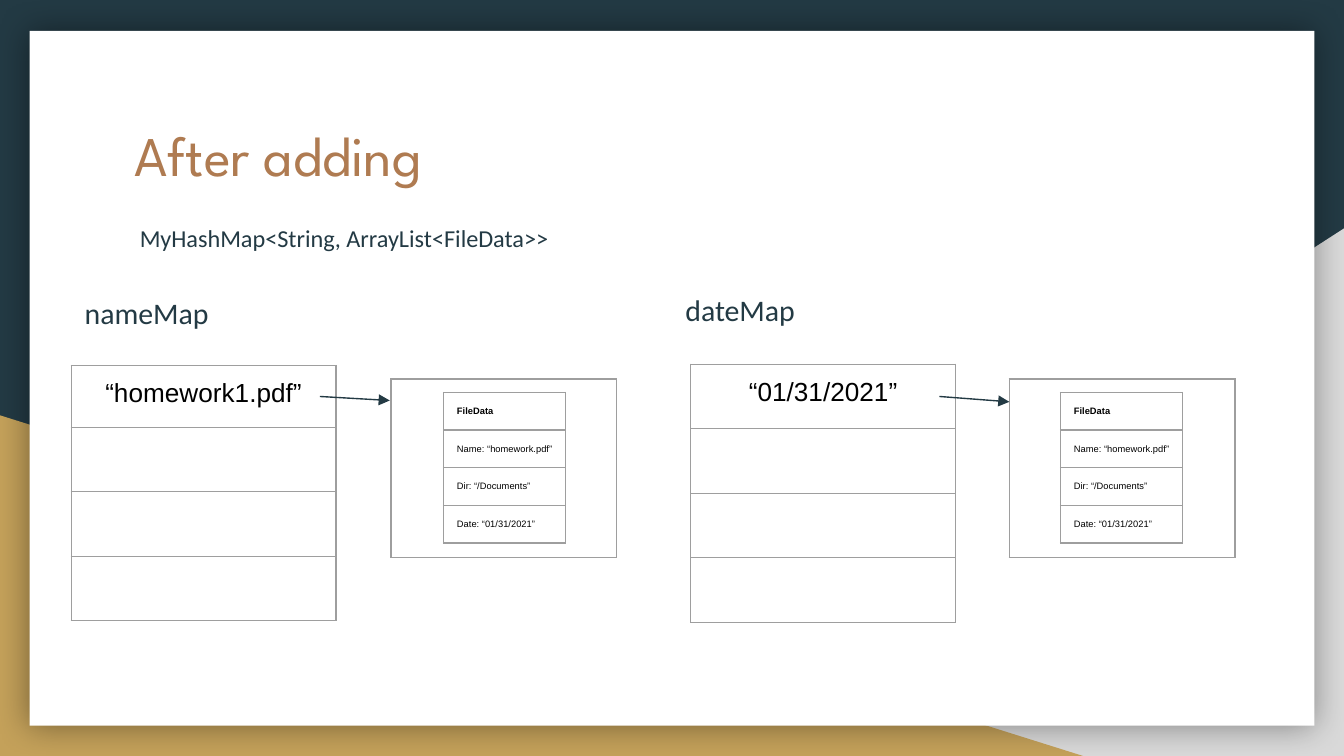
"""Build the slide that shows both hash maps after a file is added."""
from dataclasses import dataclass

from lxml.etree import SubElement
from pptx import Presentation
from pptx.dml.color import RGBColor
from pptx.enum.shapes import MSO_CONNECTOR, MSO_SHAPE
from pptx.enum.text import MSO_ANCHOR, MSO_AUTO_SIZE, PP_ALIGN
from pptx.oxml import parse_xml
from pptx.oxml.ns import qn
from pptx.util import Inches, Pt


@dataclass(frozen=True)
class Theme:
    """Colours, fonts and type sizes."""
    navy: str = "233A44"
    gold: str = "C4A15A"
    grey: str = "D9D9D9"
    white: str = "FFFFFF"
    brown: str = "AF7B51"
    black: str = "000000"
    rule: str = "9E9E9E"
    head: str = "League Spartan"
    body: str = "Calibri"
    cell: str = "Arial"
    title: int = 30
    label: int = 16
    note: int = 13
    key: int = 14
    tiny: int = 5
    thin: float = 0.75


T = Theme()
WIDE = 10
HIGH = WIDE * 9 / 16
TITLE = "After adding"
NOTE = "MyHashMap<String, ArrayList<FileData>>"
FIELDS = ["FileData", "Name: “homework.pdf”", "Dir: “/Documents”", "Date: “01/31/2021”"]
MAPS = [
    dict(name="nameMap", key="“homework1.pdf”", label=(0.53, 2.05), slots=(0.53, 2.72),
         first=0.46, box=2.91, data=3.3, start=(2.38, 2.95), end=(2.9, 2.98)),
    dict(name="dateMap", key="“01/31/2021”", label=(5, 2.03), slots=(5.14, 2.71),
         first=0.48, box=7.51, data=7.89, start=(6.99, 2.95), end=(7.51, 2.99)),
]
BACK = [
    (MSO_SHAPE.RIGHT_TRIANGLE, (3.92, 1.7, 6.08, HIGH - 1.7), T.grey),
    (MSO_SHAPE.RIGHT_TRIANGLE, (0, 3.09, 8.06, HIGH - 3.09), T.gold),
    (MSO_SHAPE.RECTANGLE, (0.22, 0.23, 9.56, 5.17), T.white),
]
NS = 'xmlns:a="http://schemas.openxmlformats.org/drawingml/2006/main"'
GLOW = (f'<a:effectLst {NS}><a:outerShdw blurRad="{Pt(18)}" dist="0" dir="0" algn="ctr" '
        f'rotWithShape="0"><a:srgbClr val="{T.black}"><a:alpha val="40000"/>'
        '</a:srgbClr></a:outerShdw></a:effectLst>')


def rgb(code):
    """Turn a hex code into a colour."""
    return RGBColor.from_string(code)


def write(para, text, face, size, tint, bold=False):
    """Add one styled run."""
    run = para.add_run()
    run.text = text
    font = run.font
    font.name, font.size, font.bold = face, Pt(size), bold
    font.color.rgb = rgb(tint)


def inset(part, right=0.1):
    """Give a frame or cell its margins."""
    part.margin_left = part.margin_top = part.margin_bottom = Inches(0.1)
    part.margin_right = Inches(right)


def fill_in(holder, box, text, face, size, tint, body=True):
    """Place a placeholder and write its line."""
    holder.left, holder.top, holder.width, holder.height = map(Inches, box)
    frame = holder.text_frame
    frame.word_wrap, frame.auto_size = True, MSO_AUTO_SIZE.NONE
    frame.vertical_anchor = MSO_ANCHOR.TOP
    inset(frame)
    para = frame.paragraphs[0]
    if body:
        props = para._p.get_or_add_pPr()
        props.set("marL", "0")
        props.set("indent", "0")
        SubElement(props, qn("a:buNone"))
        para.line_spacing, para.space_after = 1.15, Pt(16)
    para.space_before = Pt(0)
    para.alignment = PP_ALIGN.LEFT
    write(para, text, face, size, tint)


def edge(cell):
    """Rule all four sides of a cell."""
    props = cell._tc.get_or_add_tcPr()
    for side in ("lnL", "lnR", "lnT", "lnB"):
        props.append(parse_xml(
            f'<a:{side} {NS} w="{Pt(T.thin)}"><a:solidFill><a:srgbClr val="{T.rule}"/>'
            f'</a:solidFill></a:{side}>'))


def grid(slide, left, top, width, rows, size=T.key, align=PP_ALIGN.LEFT, lead=False):
    """Add a one-column table from (height, text) rows."""
    total = sum(high for high, _ in rows)
    table = slide.shapes.add_table(
        len(rows), 1, *map(Inches, (left, top, width, total))).table
    table.first_row = table.horz_banding = False
    for n, (high, text) in enumerate(rows):
        table.rows[n].height = Inches(high)
        cell = table.cell(n, 0)
        inset(cell, 0.08 if lead else 0.1)
        edge(cell)
        cell.fill.background()
        para = cell.text_frame.paragraphs[0]
        if text:
            para.alignment = align
            write(para, text, T.cell, size, T.black, lead and n == 0)
        else:
            SubElement(para._p, qn("a:endParaRPr"), sz=str(size * 100))


def arrow(slide, start, end):
    """Draw an arrow between two points."""
    line = slide.shapes.add_connector(
        MSO_CONNECTOR.STRAIGHT, *map(Inches, (*start, *end)))
    line.line.color.rgb, line.line.width = rgb(T.navy), Pt(T.thin)
    SubElement(line.line._get_or_add_ln(), qn("a:tailEnd"), type="triangle")
    SubElement(line._element.spPr, qn("a:effectLst"))


def backdrop(slide):
    """Draw the coloured corners and the white card."""
    slide.background.fill.solid()
    slide.background.fill.fore_color.rgb = rgb(T.navy)
    for kind, box, tint in BACK:
        shape = slide.shapes.add_shape(kind, *map(Inches, box))
        shape.fill.solid()
        shape.fill.fore_color.rgb = rgb(tint)
        shape.line.fill.background()
        if tint == T.white:
            shape._element.spPr.append(parse_xml(GLOW))
        else:
            shape.shadow.inherit = False
        if tint == T.grey:
            shape._element.spPr.get_or_add_xfrm().set("flipH", "1")


def main():
    """Build and save the deck."""
    deck = Presentation()
    deck.slide_width, deck.slide_height = Inches(WIDE), Inches(HIGH)
    slide = deck.slides.add_slide(deck.slide_layouts[4])
    title, *names, note, spare = [slide.placeholders[n] for n in (0, 1, 3, 2, 4)]
    spare._element.getparent().remove(spare._element)
    backdrop(slide)
    for holder in (title, note, *names):
        slide.shapes._spTree.append(holder._element)
    fill_in(title, (0.9, 0.8, 8.21, 1.04), TITLE, T.head, T.title, T.brown, False)
    fill_in(note, (0.94, 1.53, 5.19, 0.5), NOTE, T.body, T.note, T.navy)
    for item, holder in zip(MAPS, names):
        fill_in(holder, (*item["label"], 3.05, 2.68), item["name"], T.body, T.label, T.navy)
        slots = [(item["first"], item["key"])] + [(0.48, "")] * 3
        grid(slide, *item["slots"], 1.97, slots, align=PP_ALIGN.CENTER)
        grid(slide, item["box"], 2.82, 1.68, [(1.33, "")])
        grid(slide, item["data"], 2.92, 0.91, [(0.28, text) for text in FIELDS], T.tiny, lead=True)
        arrow(slide, item["start"], item["end"])
    deck.save("out.pptx")


if __name__ == "__main__":
    main()
